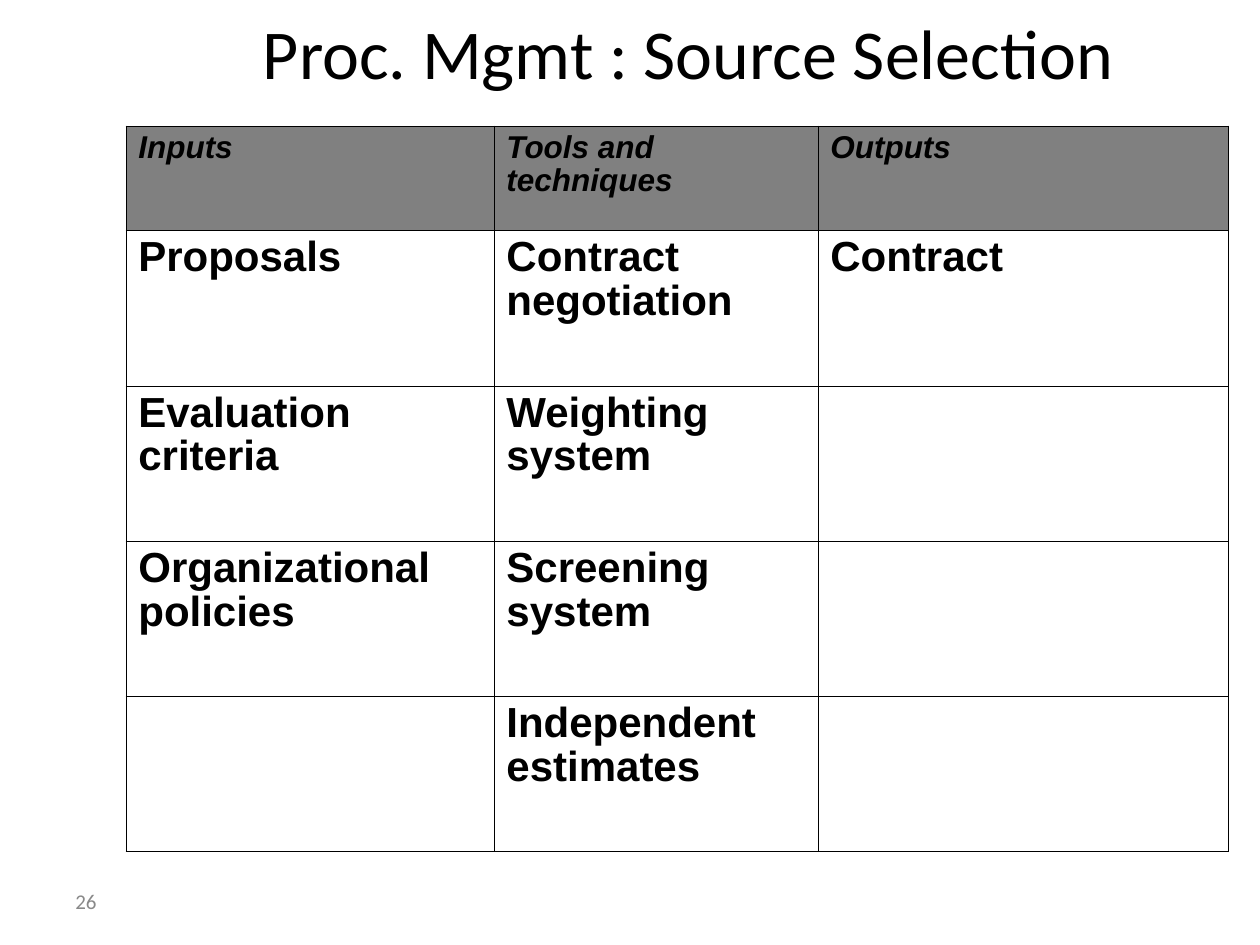
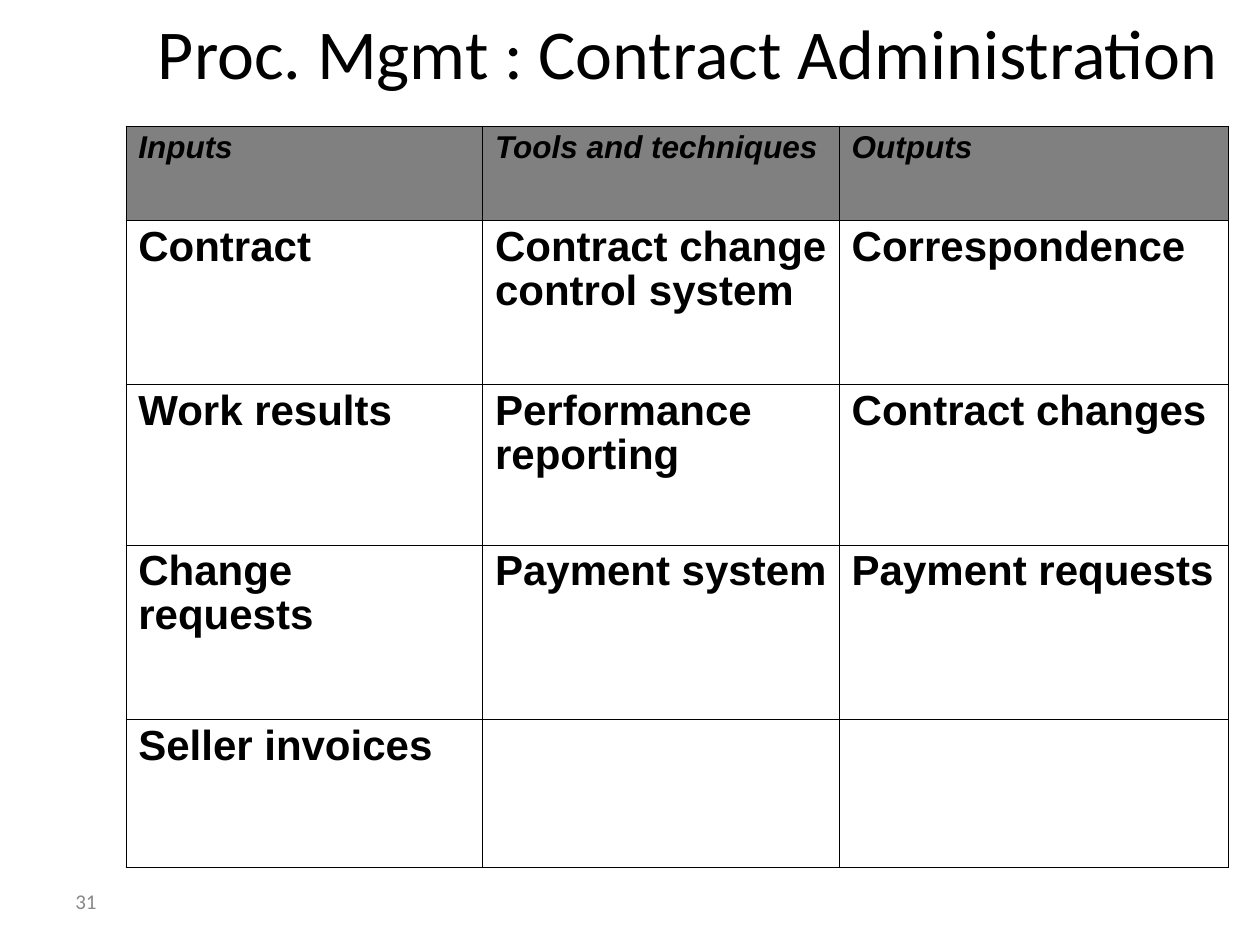
import dataclasses

import lxml.etree
import pptx
import pptx.dml.color
import pptx.enum.text
import pptx.oxml.ns
import pptx.util

Cm = pptx.util.Cm
Pt = pptx.util.Pt


@dataclasses.dataclass(frozen=True)
class TextStyle:
    """Look of one kind of text."""

    font: str
    size: int
    color: str
    bold: bool = False
    italic: bool = False


@dataclasses.dataclass(frozen=True)
class Theme:
    """Colours, type and line weights shared by the slides."""

    header_fill: str = "808080"
    line: str = "000000"
    outer_line: float = 0.5
    inner_line: float = 0.23
    line_spacing: float = 0.93
    title: TextStyle = TextStyle("Calibri", 40, "000000")
    number: TextStyle = TextStyle("Calibri", 12, "898989")
    header: TextStyle = TextStyle("Arial", 18, "000000", bold=True, italic=True)
    body: TextStyle = TextStyle("Arial", 24, "000000", bold=True)


@dataclasses.dataclass(frozen=True)
class Box:
    """Rectangle in centimetres."""

    left: float
    top: float
    width: float
    height: float

    def lengths(self):
        """Return the rectangle as slide lengths."""
        return [Cm(value) for value in dataclasses.astuple(self)]


THEME = Theme()
TITLE_BOX = Box(2.34, 0.18, 23.06, 1.7)
NUMBER_BOX = Box(1.27, 17.65, 5.92, 1.02)
TABLE_LEFT = TABLE_TOP = 2.54
HEADINGS = ("Inputs", "Tools and techniques", "Outputs")

PROCESSES = (
    {
        "title": "Proc. Mgmt : Source Selection",
        "number": "26",
        "columns": (7.42, 6.53, 8.28),
        "heights": (2.11,) + (3.13,) * 4,
        "rows": (
            ("Proposals", "Contract negotiation", "Contract"),
            ("Evaluation criteria", "Weighting system", ""),
            ("Organizational policies", "Screening system", ""),
            ("", "Independent estimates", ""),
        ),
    },
    {
        "title": "Proc. Mgmt : Contract Administration",
        "number": "31",
        "columns": (7.19, 7.19, 7.85),
        "heights": (1.9, 3.31, 3.23, 3.51, 3.0),
        "rows": (
            ("Contract", "Contract change control system", "Correspondence"),
            ("Work results", "Performance reporting", "Contract changes"),
            ("Change requests", "Payment system", "Payment requests"),
            ("Seller invoices", "", ""),
        ),
    },
)


def add_span(para, text, style):
    """Add one styled run to a paragraph."""
    span = para.add_run()
    span.text = text
    span.font.name = style.font
    span.font.size = Pt(style.size)
    span.font.bold = style.bold
    span.font.italic = style.italic
    span.font.color.rgb = pptx.dml.color.RGBColor.from_string(style.color)


def add_label(page, box, text, style, align, margins):
    """Add a vertically centred line of text in a box."""
    frame = page.shapes.add_textbox(*box.lengths()).text_frame
    frame.word_wrap = True
    frame.vertical_anchor = pptx.enum.text.MSO_ANCHOR.MIDDLE
    frame.margin_left = frame.margin_right = Cm(margins[0])
    frame.margin_top = frame.margin_bottom = Cm(margins[1])
    para = frame.paragraphs[0]
    para.alignment = align
    add_span(para, text, style)


def add_border(cell, side, weight):
    """Draw one edge of a table cell."""
    properties = cell._tc.get_or_add_tcPr()
    qn = pptx.oxml.ns.qn
    edge = lxml.etree.SubElement(properties, qn(f"a:{side}"), w=str(Pt(weight)))
    fill = lxml.etree.SubElement(edge, qn("a:solidFill"))
    lxml.etree.SubElement(fill, qn("a:srgbClr"), val=THEME.line)


def style_cell(cell, outer_edges, is_header):
    """Set the edges, fill and margins of a table cell."""
    for side, is_outer in outer_edges.items():
        add_border(cell, side, THEME.outer_line if is_outer else THEME.inner_line)
    if is_header:
        cell.fill.solid()
        cell.fill.fore_color.rgb = pptx.dml.color.RGBColor.from_string(THEME.header_fill)
    else:
        cell.fill.background()
    cell.margin_left = cell.margin_right = Cm(0.25)
    cell.margin_top = cell.margin_bottom = Cm(0.13)


def add_process_table(page, box, columns, heights, rows):
    """Add the table of inputs, techniques and outputs."""
    shape = page.shapes.add_table(len(heights), len(columns), *box.lengths())
    table = shape.table
    table.first_row = table.horz_banding = False
    for column, width in zip(table.columns, columns):
        column.width = Cm(width)
    for row, height in zip(table.rows, heights):
        row.height = Cm(height)
    for row_index, texts in enumerate((HEADINGS, *rows)):
        is_header = row_index == 0
        for column_index, text in enumerate(texts):
            cell = table.cell(row_index, column_index)
            outer_edges = {
                "lnL": column_index == 0,
                "lnR": column_index == len(columns) - 1,
                "lnT": is_header,
                "lnB": row_index == len(heights) - 1,
            }
            style_cell(cell, outer_edges, is_header)
            if text:
                para = cell.text_frame.paragraphs[0]
                para.line_spacing = THEME.line_spacing
                add_span(para, text, THEME.header if is_header else THEME.body)


def add_process_page(deck, process):
    """Add a slide with a title, a process table and a page number."""
    page = deck.slides.add_slide(deck.slide_layouts[6])
    align = pptx.enum.text.PP_ALIGN
    add_label(page, NUMBER_BOX, process["number"], THEME.number, align.LEFT, (0.25, 0.13))
    add_label(page, TITLE_BOX, process["title"], THEME.title, align.CENTER, (0, 0))
    columns, heights = process["columns"], process["heights"]
    box = Box(TABLE_LEFT, TABLE_TOP, sum(columns), sum(heights))
    add_process_table(page, box, columns, heights, process["rows"])


def main():
    """Build and save the deck."""
    deck = pptx.Presentation()
    deck.slide_width, deck.slide_height = Cm(25.4), Cm(19.05)
    for process in PROCESSES:
        add_process_page(deck, process)
    deck.save("out.pptx")


if __name__ == "__main__":
    main()
